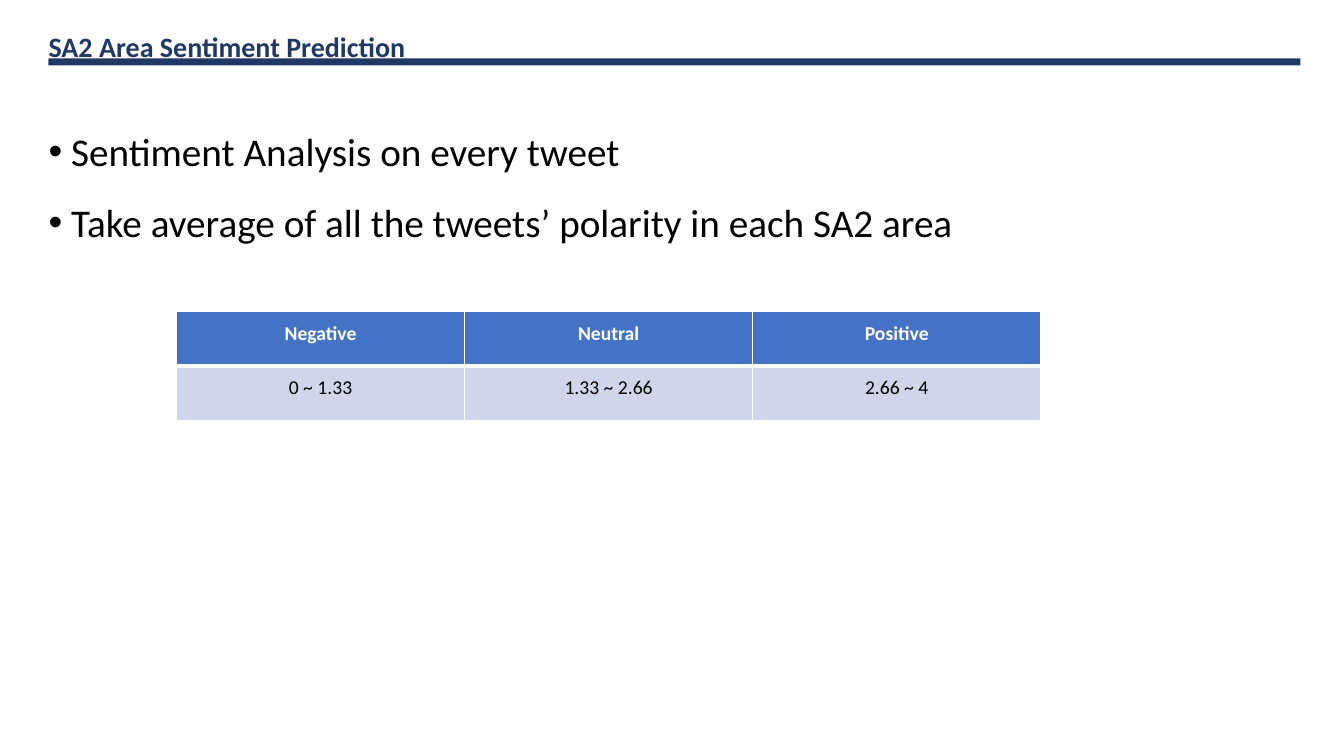
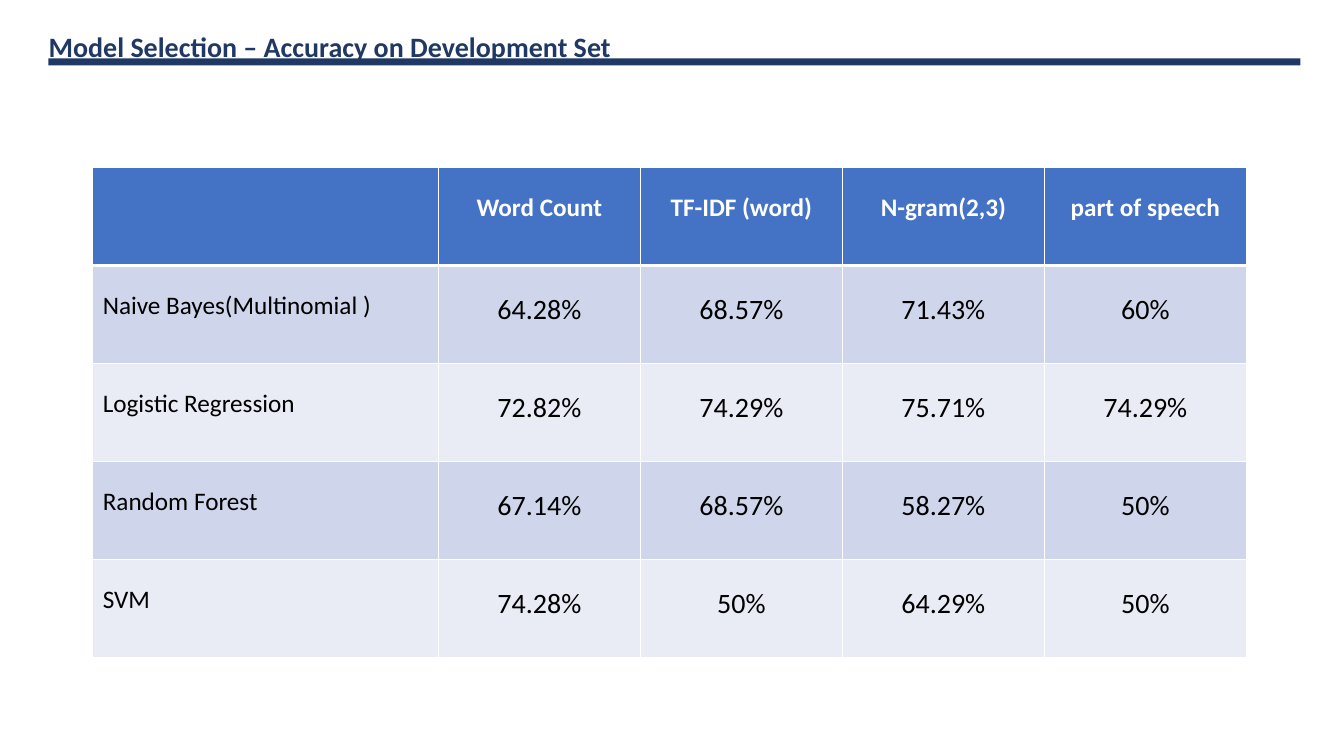
from lxml.etree import SubElement
from pptx import Presentation
from pptx.dml.color import RGBColor
from pptx.enum.shapes import MSO_SHAPE as Shape
from pptx.enum.text import MSO_ANCHOR as Anchor, MSO_AUTO_SIZE as AutoSize, PP_ALIGN as Align
from pptx.oxml.ns import qn
from pptx.util import Cm, Pt

FONT = "Calibri"
NAVY = "203864"
BLUE = "4472C4"
BANDS = ["CFD5EA", "E9EBF5"]
WHITE = "FFFFFF"
BLACK = "000000"
color = RGBColor.from_string


def format_text(paragraph, size, text_color, bold=False, align=Align.LEFT, spacing=1.0):
    paragraph.alignment = align
    paragraph.line_spacing = spacing
    paragraph.space_before = Pt(0)
    for run in paragraph.runs:
        run.font.name = FONT
        run.font.size = Pt(size)
        run.font.bold = bold
        run.font.color.rgb = color(text_color)


def add_grid(slide, left, top, widths, row_height, rows, sizes, spacing):
    header_size, label_size, value_size = sizes
    frame = slide.shapes.add_table(len(rows), len(widths), Cm(left), Cm(top),
                                   Cm(sum(widths)), Cm(row_height * len(rows)))
    table = frame.table
    table.horz_banding = False
    for column, width in zip(table.columns, widths):
        column.width = Cm(width)
    for row_index, values in enumerate(rows):
        table.rows[row_index].height = Cm(row_height)
        is_header = row_index == 0
        for column_index, value in enumerate(values):
            cell = table.cell(row_index, column_index)
            cell.margin_left = cell.margin_right = Cm(0.25)
            cell.margin_top = cell.margin_bottom = Cm(0.25)
            cell.vertical_anchor = Anchor.TOP
            borders = {"lnL": 1, "lnR": 1, "lnT": 3 if row_index == 1 else 1, "lnB": 3 if is_header else 1}
            for side, points in borders.items():
                line = SubElement(cell._tc.get_or_add_tcPr(), qn(f"a:{side}"), w=str(Pt(points)))
                line_fill = SubElement(line, qn("a:solidFill"))
                SubElement(line_fill, qn("a:srgbClr"), val=WHITE)
            cell.fill.solid()
            cell.fill.fore_color.rgb = color(BLUE if is_header else BANDS[(row_index - 1) % 2])
            cell.text_frame.text = value
            is_label = not is_header and not value[0].isdigit()
            size = header_size if is_header else label_size if is_label else value_size
            format_text(cell.text_frame.paragraphs[0], size, WHITE if is_header else BLACK, is_header,
                        Align.LEFT if is_label else Align.CENTER, spacing)


presentation = Presentation()
presentation.slide_width = Cm(33.87)
presentation.slide_height = Cm(19.05)

slides = []
for layout_index, title_text in [(1, "SA2 Area Sentiment Prediction"),
                                 (5, "Model Selection – Accuracy on Development Set")]:
    slide = presentation.slides.add_slide(presentation.slide_layouts[layout_index])
    title = slide.shapes.title
    title.left, title.top, title.width, title.height = Cm(0.97), Cm(0.61), Cm(17.09), Cm(0.86)
    title.text_frame.text = title_text
    title.text_frame.auto_size = AutoSize.NONE
    title.text_frame.vertical_anchor = Anchor.TOP
    format_text(title.text_frame.paragraphs[0], 20, NAVY, bold=True)
    rule = slide.shapes.add_shape(Shape.RECTANGLE, Cm(1.22), Cm(1.47), Cm(31.55), Cm(0.18))
    rule.shadow.inherit = False
    rule.fill.solid()
    rule.fill.fore_color.rgb = color(NAVY)
    rule.line.fill.background()
    slides.append(slide)

prediction_slide, selection_slide = slides

body = prediction_slide.placeholders[1]
body.left, body.top, body.width, body.height = Cm(0.97), Cm(2.49), Cm(31.85), Cm(9.04)
body.text_frame.text = "Sentiment Analysis on every tweet\nTake average of all the tweets’ polarity in each SA2 area"
body.text_frame.auto_size = AutoSize.NONE
for paragraph in body.text_frame.paragraphs:
    properties = paragraph._p.get_or_add_pPr()
    properties.set("marL", str(Cm(0.57)))
    properties.set("indent", str(-Cm(0.57)))
    SubElement(properties, qn("a:buFont"), typeface="Arial")
    SubElement(properties, qn("a:buChar"), char="•")
    format_text(paragraph, 28, BLACK, spacing=1.5)

polarity_rows = [
    ["Negative", "Neutral", "Positive"],
    ["0 ~ 1.33", "1.33 ~ 2.66", "2.66 ~ 4"],
]
add_grid(prediction_slide, 4.45, 7.85, [7.26] * 3, 1.37, polarity_rows, (14, 14, 14), 1.0)

accuracy_rows = [
    ["", "Word Count", "TF-IDF (word)", "N-gram(2,3)", "part of speech"],
    ["Naive Bayes(Multinomial )", "64.28%", "68.57%", "71.43%", "60%"],
    ["Logistic Regression", "72.82%", "74.29%", "75.71%", "74.29%"],
    ["Random Forest", "67.14%", "68.57%", "58.27%", "50%"],
    ["SVM", "74.28%", "50%", "64.29%", "50%"],
]
add_grid(selection_slide, 2.34, 4.22, [8.71] + [5.09] * 4, 2.47, accuracy_rows, (18, 18, 20), 1.5)

presentation.save("out.pptx")
